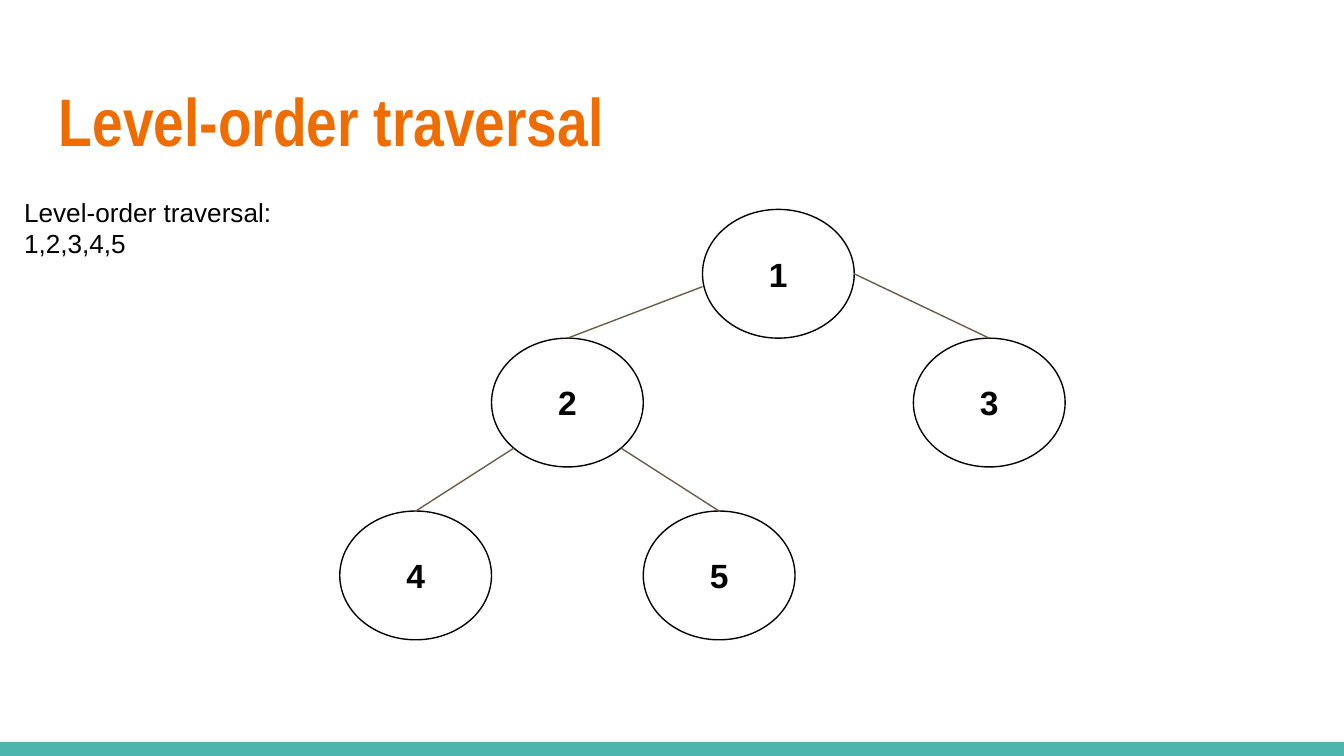
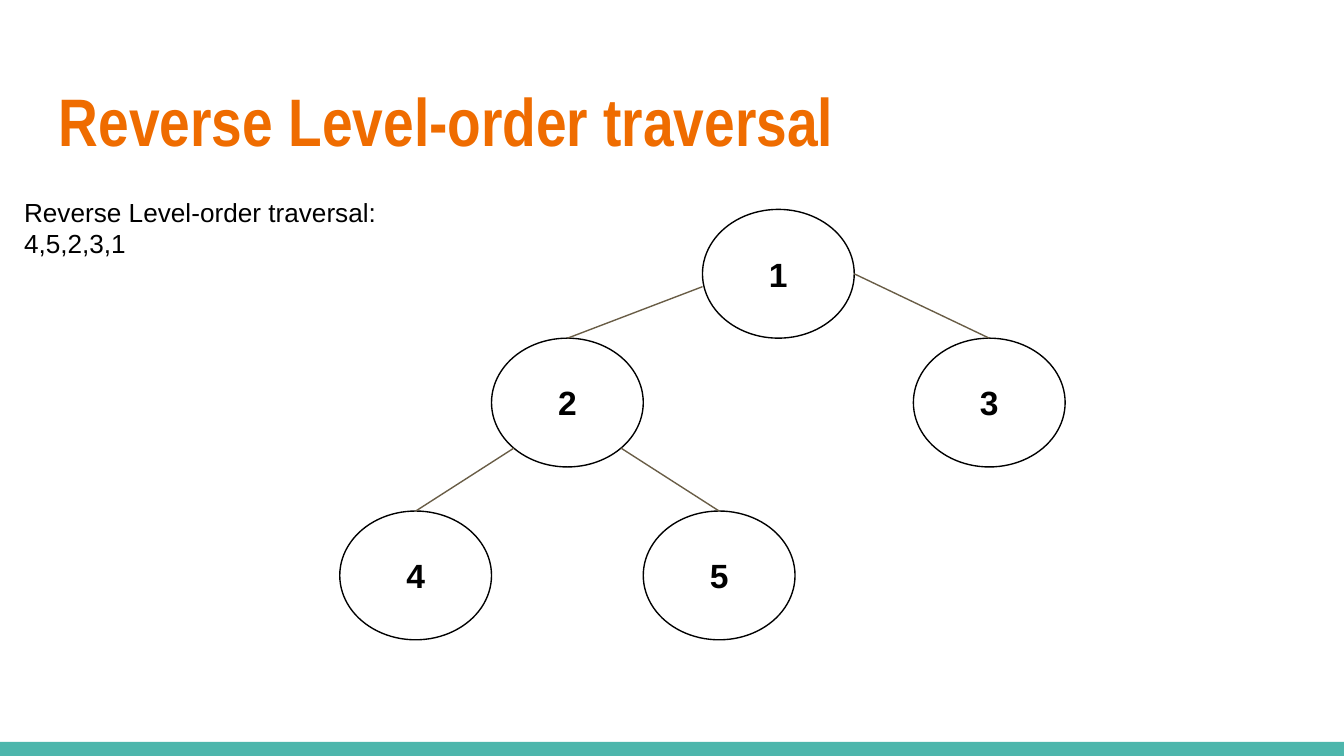
from dataclasses import dataclass
from math import sqrt
from typing import NamedTuple

from lxml.etree import SubElement
from pptx import Presentation
from pptx.dml.color import RGBColor as RGB
from pptx.enum.shapes import MSO_CONNECTOR as CONN, MSO_SHAPE as SHAPE
from pptx.enum.text import MSO_ANCHOR as ANCHOR, PP_ALIGN as ALIGN
from pptx.oxml.ns import qn
from pptx.slide import Slide
from pptx.text.text import TextFrame
from pptx.util import Pt


@dataclass(frozen=True)
class Theme:
    paper: RGB = RGB.from_string("FFFFFF")
    ink: RGB = RGB.from_string("000000")
    accent: RGB = RGB.from_string("EF6C00")
    band: RGB = RGB.from_string("4DB6AC")
    edge: RGB = RGB.from_string("695D46")
    title_font: str = "Arial Narrow"
    body_font: str = "Arial"
    title_size: float = 36
    node_size: float = 18
    body_size: float = 14
    line_width: float = 0.75
    inset: float = 7.2


class Box(NamedTuple):
    left: float
    top: float
    width: float
    height: float


class Style(NamedTuple):
    font: str
    size: float
    color: RGB
    bold: bool = False


class Node(NamedTuple):
    label: str
    x: float
    y: float


class Edge(NamedTuple):
    parent: Node
    child: Node
    dx: float
    dy: float


class Traversal(NamedTuple):
    title: str
    order: str


THEME = Theme()
TITLE = Style(THEME.title_font, THEME.title_size, THEME.accent, True)
LABEL = Style(THEME.body_font, THEME.node_size, THEME.ink, True)
BODY = Style(THEME.body_font, THEME.body_size, THEME.ink)

WIDTH, HEIGHT, BAND_HEIGHT = 720, 405, 7.5
TITLE_BOX = Box(24.5, 35.3, 671, 55.4)
ORDER_BOX = Box(5.8, 98, 307.4, 48.2)

NODE_W, NODE_H = 81.3, 69
ROOT_X, ROOT_Y, ROOT_SPREAD, LEAF_DROP = 417, 146.7, 113, 92.6

ROOT = Node("1", ROOT_X, ROOT_Y)
LEFT = Node("2", ROOT.x - ROOT_SPREAD, ROOT.y + NODE_H)
RIGHT = Node("3", ROOT.x + ROOT_SPREAD, LEFT.y)
LEFT_LEAF = Node("4", LEFT.x - NODE_W, LEFT.y + LEAF_DROP)
RIGHT_LEAF = Node("5", LEFT.x + NODE_W, LEFT_LEAF.y)
NODES = [ROOT, RIGHT, LEFT, LEFT_LEAF, RIGHT_LEAF]

DIAGONAL = 1 / sqrt(2)
EDGES = [
    Edge(ROOT, LEFT, -1, 0.2),
    Edge(LEFT, LEFT_LEAF, -DIAGONAL, DIAGONAL),
    Edge(ROOT, RIGHT, 1, 0),
    Edge(LEFT, RIGHT_LEAF, DIAGONAL, DIAGONAL),
]

TRAVERSALS = [
    Traversal("Level-order traversal", "1,2,3,4,5"),
    Traversal("Reverse Level-order traversal", "4,5,2,3,1"),
]


def write(tf: TextFrame, text: str, style: Style, align: ALIGN = ALIGN.LEFT,
          anchor: ANCHOR = ANCHOR.TOP) -> None:
    tf.word_wrap = True
    tf.vertical_anchor = anchor
    tf.margin_left = tf.margin_right = Pt(THEME.inset)
    tf.margin_top = tf.margin_bottom = Pt(THEME.inset)
    tf.text = text
    for p in tf.paragraphs:
        p.alignment = align
        for r in p.runs:
            r.font.name = style.font
            r.font.size = Pt(style.size)
            r.font.bold = style.bold
            r.font.color.rgb = style.color


def add_text(s: Slide, box: Box, text: str, style: Style) -> None:
    write(s.shapes.add_textbox(*map(Pt, box)).text_frame, text, style)


def add_band(s: Slide) -> None:
    box = Box(0, HEIGHT - BAND_HEIGHT, WIDTH, BAND_HEIGHT)
    sp = s.shapes.add_shape(SHAPE.RECTANGLE, *map(Pt, box))
    sp.shadow.inherit = False
    sp.fill.solid()
    sp.fill.fore_color.rgb = THEME.band
    sp.line.fill.background()


def add_node(s: Slide, node: Node) -> None:
    box = Box(node.x - NODE_W / 2, node.y - NODE_H / 2, NODE_W, NODE_H)
    sp = s.shapes.add_shape(SHAPE.OVAL, *map(Pt, box))
    sp.shadow.inherit = False
    sp.fill.solid()
    sp.fill.fore_color.rgb = THEME.paper
    sp.line.color.rgb = THEME.ink
    sp.line.width = Pt(THEME.line_width)
    write(sp.text_frame, node.label, LABEL, ALIGN.CENTER, ANCHOR.MIDDLE)


def add_edge(s: Slide, edge: Edge) -> None:
    start = (edge.parent.x + edge.dx * NODE_W / 2,
             edge.parent.y + edge.dy * NODE_H / 2)
    end = (edge.child.x, edge.child.y - NODE_H / 2)
    line = s.shapes.add_connector(CONN.STRAIGHT, *map(Pt, start + end))
    line.line.color.rgb = THEME.edge
    line.line.width = Pt(THEME.line_width)
    SubElement(line._element.spPr, qn("a:effectLst"))


def add_traversal(s: Slide, traversal: Traversal) -> None:
    s.background.fill.solid()
    s.background.fill.fore_color.rgb = THEME.paper
    add_band(s)
    add_text(s, TITLE_BOX, traversal.title, TITLE)
    for node in NODES:
        add_node(s, node)
    for edge in EDGES:
        add_edge(s, edge)
    add_text(s, ORDER_BOX, f"{traversal.title}:\n{traversal.order}", BODY)


def main() -> None:
    prs = Presentation()
    prs.slide_width, prs.slide_height = Pt(WIDTH), Pt(HEIGHT)
    blank = prs.slide_layouts[6]
    for traversal in TRAVERSALS:
        add_traversal(prs.slides.add_slide(blank), traversal)
    prs.save("out.pptx")


if __name__ == "__main__":
    main()
